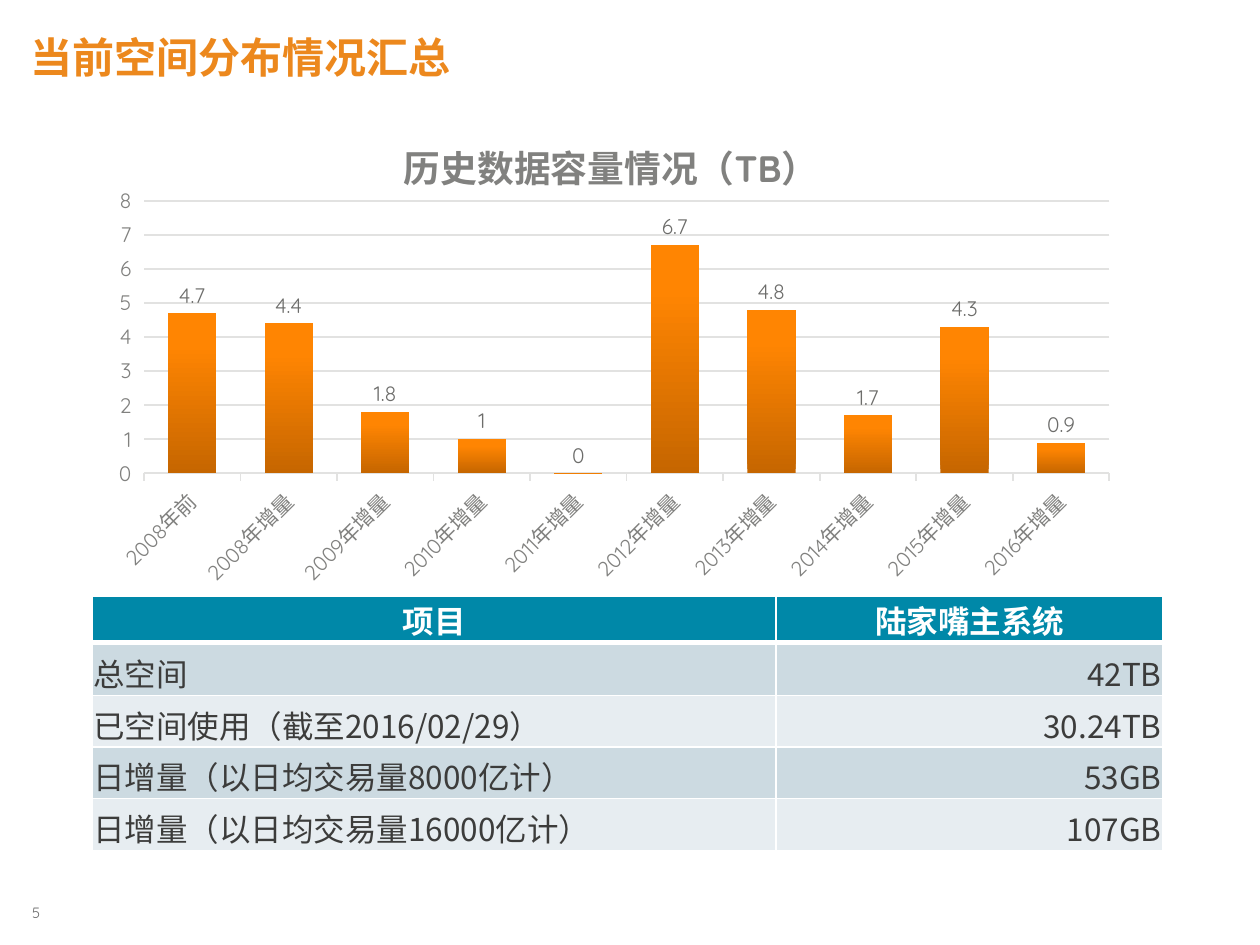
from pptx import Presentation
from pptx.chart.data import CategoryChartData
from pptx.dml.color import RGBColor
from pptx.enum.chart import XL_CHART_TYPE, XL_LABEL_POSITION, XL_TICK_MARK
from pptx.enum.text import MSO_ANCHOR, PP_ALIGN
from pptx.oxml import parse_xml
from pptx.oxml.ns import nsdecls, qn
from pptx.util import Inches, Pt

HUES = {
    "title": "EC881D", "page": "6C6C6C", "head": "0088A8", "white": "FFFFFF",
    "text": "3C3C3B", "odd": "CCDAE1", "even": "E7EDF1", "axis": "81817F",
    "grid": "E2E2E1", "label": "6D6D6B", "dark": "C66600", "mid": "FF8502",
    "light": "FF8503",
}
SANS, ROUND = "Noto Sans CJK SC", "Quicksand"
YEARS = ["2008年前"] + [f"{year}年增量" for year in range(2008, 2017)]
SIZES = [4.7, 4.4, 1.8, 1, 0, 6.7, 4.8, 1.7, 4.3, 0.9]
ROWS = [
    ("项目", "陆家嘴主系统"),
    ("总空间", "42TB"),
    ("已空间使用（截至2016/02/29）", "30.24TB"),
    ("日增量（以日均交易量8000亿计）", "53GB"),
    ("日增量（以日均交易量16000亿计）", "107GB"),
]


def tint(name):
    """Return the colour with this name."""
    return RGBColor.from_string(HUES[name])


def apply(item, **values):
    """Set each named value on the item."""
    for key, value in values.items():
        setattr(item, key, value)


def style(font, hue, **values):
    """Format a font and give it a colour."""
    apply(font, **values)
    font.color.rgb = tint(hue)


def write(frame, text, hue, align, **values):
    """Fill a text frame with one formatted line."""
    line = frame.paragraphs[0]
    line.alignment = align
    run = line.add_run()
    run.text = text
    style(run.font, hue, **values)
    east = parse_xml(f'<a:ea {nsdecls("a")} typeface="{SANS}"/>')
    run.font._element.find(qn("a:latin")).addnext(east)
    return line


def add_title(slide):
    """Place the slide title."""
    title = slide.shapes.title
    apply(title, left=Inches(0.24), top=Inches(0.19),
          width=Inches(9), height=Inches(0.56))
    frame = title.text_frame
    apply(frame, margin_left=0, margin_top=0, margin_right=0,
          margin_bottom=0, vertical_anchor=MSO_ANCHOR.MIDDLE)
    line = write(frame, "当前空间分布情况汇总", "title", PP_ALIGN.LEFT,
                 name=SANS, size=Pt(24), bold=True)
    line.line_spacing = 0.95


def add_page(slide):
    """Place the page number."""
    box = slide.shapes.add_textbox(
        Inches(0.17), Inches(7.17), Inches(0.15), Inches(0.14))
    frame = box.text_frame
    apply(frame, margin_left=0, margin_top=0, margin_right=0,
          margin_bottom=0, word_wrap=False)
    write(frame, "5", "page", PP_ALIGN.RIGHT, name=ROUND, size=Pt(8.5))


def set_plot(chart):
    """Fix the inner plot area within the chart."""
    area = chart._chartSpace.chart.plotArea
    for old in area.findall(qn("c:layout")):
        area.remove(old)
    parts = {"x": 0.05, "y": 0.18, "w": 0.93, "h": 0.56}
    modes = "".join(f'<c:{key}Mode val="edge"/>' for key in "xy")
    spots = "".join(f'<c:{key} val="{val}"/>' for key, val in parts.items())
    area.insert(0, parse_xml(
        f'<c:layout {nsdecls("c")}><c:manualLayout>'
        f'<c:layoutTarget val="inner"/>{modes}{spots}'
        '</c:manualLayout></c:layout>'))


def shade(series):
    """Fill the bars with an upward gradient."""
    stops = "".join(
        f'<a:gs pos="{pos * 1000}"><a:srgbClr val="{HUES[hue]}"/></a:gs>'
        for pos, hue in ((0, "dark"), (80, "mid"), (100, "light")))
    series._element.get_or_add_spPr().insert(0, parse_xml(
        f'<a:gradFill {nsdecls("a")} rotWithShape="1"><a:gsLst>{stops}'
        '</a:gsLst><a:lin ang="16200000" scaled="0"/></a:gradFill>'))


def add_chart(slide):
    """Draw the column chart of data volume."""
    data = CategoryChartData()
    data.categories = YEARS
    data.add_series("Series 1", SIZES)
    chart = slide.shapes.add_chart(
        XL_CHART_TYPE.COLUMN_CLUSTERED, Inches(0.73), Inches(0.9),
        Inches(8.24), Inches(3.86), data).chart
    style(chart.font, "text", name=ROUND, size=Pt(10))
    apply(chart, has_legend=False, has_title=True)
    write(chart.chart_title.text_frame, "历史数据容量情况（TB）", "axis",
          PP_ALIGN.CENTER, name=ROUND, size=Pt(21), bold=True)
    chart.chart_title.include_in_layout = False
    set_plot(chart)

    cats, vals = chart.category_axis, chart.value_axis
    for axis in (cats, vals):
        axis.major_tick_mark = XL_TICK_MARK.OUTSIDE
        style(axis.tick_labels.font, "axis", name=ROUND, size=Pt(12))
    cats._element.txPr.bodyPr.set("rot", "-2700000")
    apply(vals, minimum_scale=0, maximum_scale=8, major_unit=1)
    vals.format.line.fill.background()
    for line, width in ((cats.format.line, 1),
                        (vals.major_gridlines.format.line, 0.75)):
        line.color.rgb = tint("grid")
        line.width = Pt(width)

    plot = chart.plots[0]
    apply(plot, gap_width=100, vary_by_categories=False, has_data_labels=True)
    labels = plot.data_labels
    apply(labels, show_value=True, position=XL_LABEL_POSITION.OUTSIDE_END)
    style(labels.font, "label", name=ROUND, size=Pt(12))
    shade(plot.series[0])


def edge(cell, base):
    """Draw white cell borders with the given bottom width."""
    props = cell._tc.get_or_add_tcPr()
    for spot, (side, width) in enumerate(
            (("L", 1), ("R", 1), ("T", 1), ("B", base))):
        props.insert(spot, parse_xml(
            f'<a:ln{side} {nsdecls("a")} w="{Pt(width)}"><a:solidFill>'
            f'<a:srgbClr val="{HUES["white"]}"/></a:solidFill></a:ln{side}>'))


def add_table(slide):
    """Draw the table of space figures."""
    table = slide.shapes.add_table(
        len(ROWS), 2, Inches(0.73), Inches(4.73),
        Inches(8.5), Inches(2.02)).table
    for col, width in zip(table.columns, (5.43, 3.07)):
        col.width = Inches(width)
    for row, height in zip(table.rows, (0.37, 0.42, 0.41, 0.41, 0.41)):
        row.height = Inches(height)
    pad = Inches(0.01)
    for i, texts in enumerate(ROWS):
        head = i == 0
        fill = "head" if head else ("even", "odd")[i % 2]
        for j, text in enumerate(texts):
            cell = table.cell(i, j)
            apply(cell, margin_left=pad, margin_top=pad, margin_right=pad,
                  margin_bottom=0, vertical_anchor=MSO_ANCHOR.MIDDLE
                  if head else MSO_ANCHOR.BOTTOM)
            cell.fill.solid()
            cell.fill.fore_color.rgb = tint(fill)
            edge(cell, 3 if head else 1)
            side = (PP_ALIGN.LEFT, PP_ALIGN.RIGHT)[j]
            write(cell.text_frame, text, "white" if head else "text",
                  PP_ALIGN.CENTER if head else side,
                  name=ROUND if head else SANS, size=Pt(18), bold=head)


def main():
    """Build and save the slide."""
    deck = Presentation()
    apply(deck, slide_width=Inches(10), slide_height=Inches(7.5))
    slide = deck.slides.add_slide(deck.slide_layouts[5])
    add_page(slide)
    add_title(slide)
    add_table(slide)
    add_chart(slide)
    deck.save("out.pptx")


if __name__ == "__main__":
    main()
